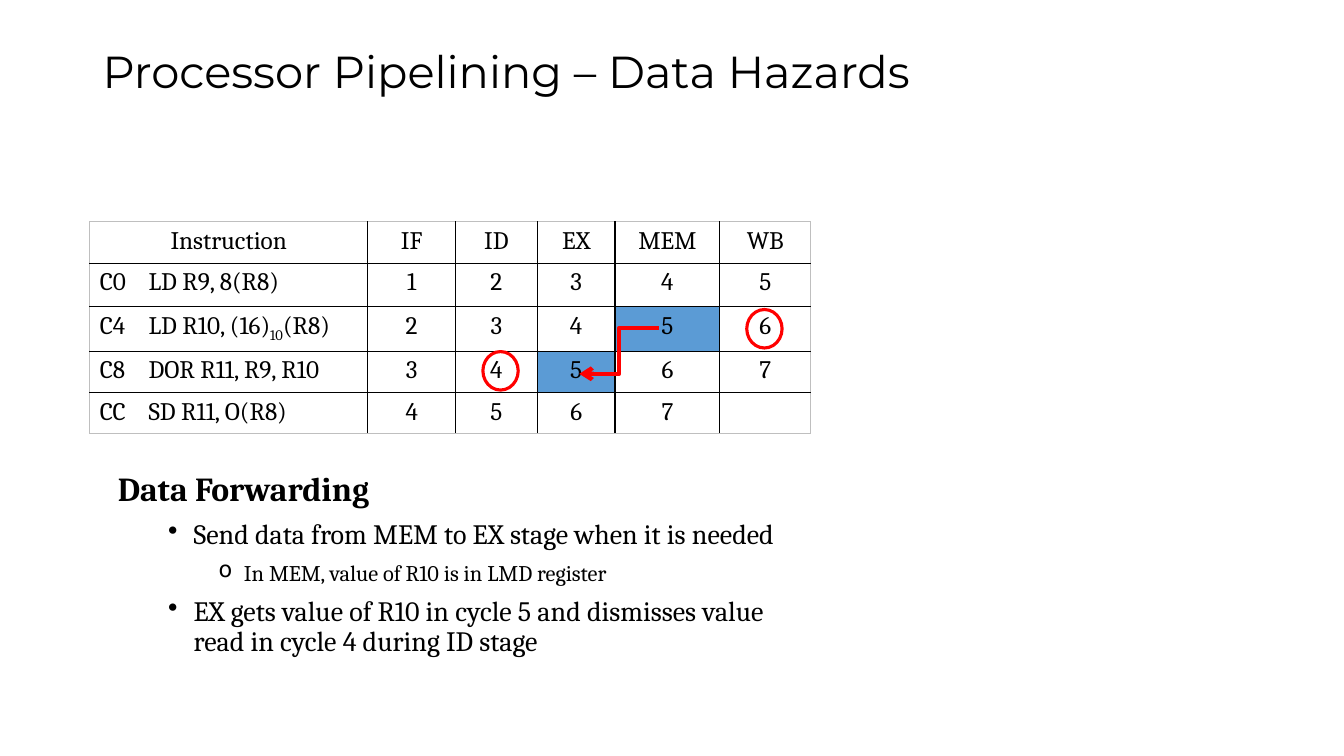
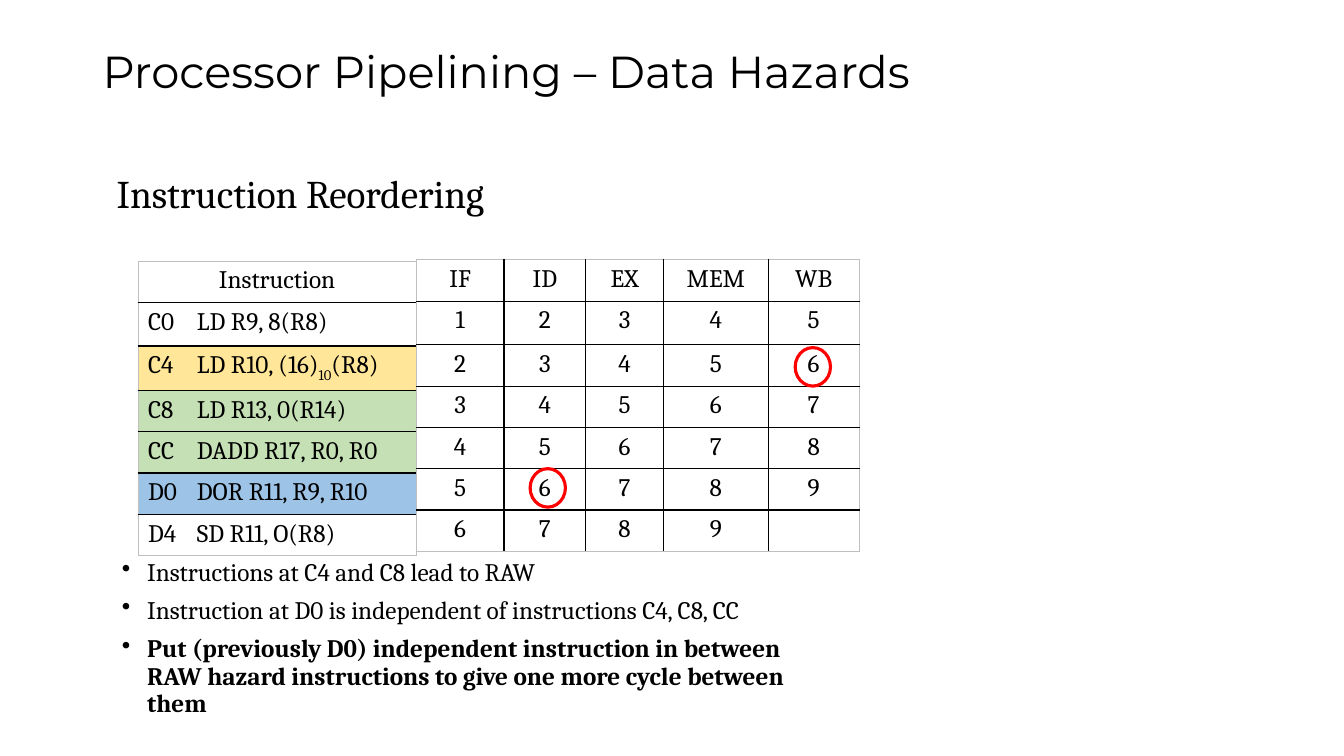
from dataclasses import dataclass, field

from lxml import etree
from pptx import Presentation
from pptx.dml.color import RGBColor
from pptx.enum.shapes import MSO_CONNECTOR, MSO_SHAPE
from pptx.enum.text import MSO_ANCHOR, PP_ALIGN
from pptx.oxml.ns import qn
from pptx.shapes.connector import Connector
from pptx.slide import Slide
from pptx.table import _Cell
from pptx.text.text import _Paragraph
from pptx.util import Cm, Pt

ELBOW = MSO_CONNECTOR.ELBOW
OVAL = MSO_SHAPE.OVAL
MIDDLE = MSO_ANCHOR.MIDDLE
LEFT, CENTER = PP_ALIGN.LEFT, PP_ALIGN.CENTER

BLACK = RGBColor(0x00, 0x00, 0x00)
WHITE = RGBColor(0xFF, 0xFF, 0xFF)
GRAY = RGBColor(0xBF, 0xBF, 0xBF)
RED = RGBColor(0xFF, 0x00, 0x00)
BLUE = RGBColor(0x5B, 0x9B, 0xD5)
LIGHT_BLUE = RGBColor(0x9D, 0xC3, 0xE6)
YELLOW = RGBColor(0xFF, 0xE6, 0x99)
GREEN = RGBColor(0xC5, 0xE0, 0xB4)

TITLE_FONT, BODY_FONT = "Montserrat", "Cambria"
TITLE = "Processor Pipelining – Data Hazards"
STAGES = ["IF", "ID", "EX", "MEM", "WB"]
INSTRUCTION_WIDTH = 7.01
STAGE_WIDTHS = [2.21, 2.06, 1.96, 2.64, 2.29]
ROW_HEIGHT, FIRST_DATA_HEIGHT = 1.04, 1.1
CODE_TAB = 1.23


@dataclass(frozen=True)
class Line:
    text: str
    size: float
    bold: bool = False
    bullet: str = ""
    indent: float = 0
    level: int = 0


@dataclass(frozen=True)
class TextBlock:
    left: float
    top: float
    width: float
    height: float
    lines: list[Line]


@dataclass(frozen=True)
class Grid:
    left: float
    top: float
    widths: list[float]
    rows: list[list[str]]
    fills: dict[tuple[int, int], RGBColor] = field(default_factory=dict)


@dataclass(frozen=True)
class Ring:
    left: float
    top: float


def format_runs(p: _Paragraph, font: str, size: float, bold: bool = False) -> None:
    for r in p.runs:
        r.font.name = font
        r.font.size = Pt(size)
        r.font.bold = bold
        r.font.color.rgb = BLACK


def set_bullet(p: _Paragraph, bullet: str, indent: float) -> None:
    pPr = p._p.get_or_add_pPr()
    pPr.set("marL", str(Cm(indent)))
    pPr.set("indent", str(-Cm(0.64)))
    etree.SubElement(pPr, qn("a:buChar"), char=bullet)


def add_text(s: Slide, block: TextBlock) -> None:
    sp = s.shapes.add_textbox(Cm(block.left), Cm(block.top), Cm(block.width), Cm(block.height))
    tf = sp.text_frame
    tf.word_wrap = True
    tf.text = "\n".join(line.text for line in block.lines)
    for p, line in zip(tf.paragraphs, block.lines):
        p.level = line.level
        p.line_spacing = 0.9
        p.space_before = Pt(8)
        if line.bullet:
            set_bullet(p, line.bullet, line.indent)
        format_runs(p, BODY_FONT, line.size, line.bold)


def add_title(s: Slide) -> None:
    sp = s.shapes.add_textbox(Cm(2.34), Cm(1.02), Cm(29.21), Cm(1.7))
    tf = sp.text_frame
    tf.word_wrap = True
    tf.vertical_anchor = MIDDLE
    tf.text = TITLE
    p = tf.paragraphs[0]
    p.line_spacing = 0.9
    format_runs(p, TITLE_FONT, 32)


def set_border(cell: _Cell, side: str, color: RGBColor, width: float) -> None:
    ln = etree.SubElement(cell._tc.get_or_add_tcPr(), qn(f"a:{side}"), w=str(Pt(width)))
    fill = etree.SubElement(ln, qn("a:solidFill"))
    etree.SubElement(fill, qn("a:srgbClr"), val=str(color))


def write_cell(cell: _Cell, text: str) -> None:
    p = cell.text_frame.paragraphs[0]
    p.alignment = LEFT if "\t" in text else CENTER
    if "\t" in text:
        tabs = etree.SubElement(p._p.get_or_add_pPr(), qn("a:tabLst"))
        etree.SubElement(tabs, qn("a:tab"), pos=str(Cm(CODE_TAB)), algn="l")
    for i, part in enumerate(text.split("_")):
        r = p.add_run()
        r.text = part
        if i % 2:
            r._r.get_or_add_rPr().set("baseline", "-25000")
    format_runs(p, BODY_FONT, 18)


def add_grid(s: Slide, grid: Grid) -> None:
    n_rows, n_cols = len(grid.rows), len(grid.widths)
    heights = [FIRST_DATA_HEIGHT if i == 1 else ROW_HEIGHT for i in range(n_rows)]
    frame = s.shapes.add_table(n_rows, n_cols, Cm(grid.left), Cm(grid.top),
                               Cm(sum(grid.widths)), Cm(sum(heights)))
    table = frame.table
    table.first_row = table.horz_banding = False
    for column, width in zip(table.columns, grid.widths):
        column.width = Cm(width)
    for row, height in zip(table.rows, heights):
        row.height = Cm(height)
    for i, texts in enumerate(grid.rows):
        for j, text in enumerate(texts):
            cell = table.cell(i, j)
            outer = {"lnL": j == 0, "lnR": j == n_cols - 1,
                     "lnT": i == 0, "lnB": i == n_rows - 1}
            for side, is_outer in outer.items():
                set_border(cell, side, GRAY if is_outer else BLACK, 0.75 if is_outer else 1)
            cell.fill.solid()
            cell.fill.fore_color.rgb = grid.fills.get((i, j), WHITE)
            write_cell(cell, text)


def add_ring(s: Slide, ring: Ring) -> None:
    sp = s.shapes.add_shape(OVAL, Cm(ring.left), Cm(ring.top), Cm(0.89), Cm(0.97))
    sp.shadow.inherit = False
    sp.fill.background()
    sp.line.color.rgb = RED
    sp.line.width = Pt(2.25)


def add_forwarding_arrow(s: Slide) -> Connector:
    arrow = s.shapes.add_connector(ELBOW, Cm(16.61), Cm(8.26), Cm(14.6), Cm(9.42))
    arrow.line.color.rgb = RED
    arrow.line.width = Pt(3)
    etree.SubElement(arrow.line._get_or_add_ln(), qn("a:tailEnd"), type="arrow")
    etree.SubElement(arrow._element.spPr, qn("a:effectLst"))
    return arrow


def cycle_rows(count: int) -> list[list[str]]:
    rows = [[str(start + k) for k in range(len(STAGES))] for start in range(1, count + 1)]
    rows[-1][-1] = ""
    return [STAGES] + rows


def forwarding_slide(prs: Presentation) -> None:
    s = prs.slides.add_slide(prs.slide_layouts[6])
    add_title(s)
    instructions = ["Instruction", "C0\tLD R9, 8(R8)", "C4\tLD R10, (16)_10_(R8)",
                    "C8\tDOR R11, R9, R10", "CC\tSD R11, O(R8)"]
    cycles = cycle_rows(len(instructions) - 1)
    rows = [[name] + row for name, row in zip(instructions, cycles)]
    add_grid(s, Grid(2.26, 5.59, [INSTRUCTION_WIDTH] + STAGE_WIDTHS, rows,
                     {(2, 4): BLUE, (3, 3): BLUE}))
    add_text(s, TextBlock(2.72, 11.79, 17.55, 5.77, [
        Line("Data Forwarding", 24, bold=True),
        Line("Send data from MEM to EX stage when it is needed", 20,
             bullet="•", indent=1.91, level=1),
        Line("In MEM, value of R10 is in LMD register", 16,
             bullet="o", indent=3.18, level=2),
        Line("EX gets value of R10 in cycle 5 and dismisses value "
             "read in cycle 4 during ID stage", 20, bullet="•", indent=1.91, level=1),
    ]))
    add_ring(s, Ring(18.82, 7.8))
    add_forwarding_arrow(s)
    add_ring(s, Ring(12.17, 8.86))


def reordering_slide(prs: Presentation) -> None:
    s = prs.slides.add_slide(prs.slide_layouts[6])
    add_title(s)
    add_text(s, TextBlock(2.69, 4.27, 17.55, 1.9, [Line("Instruction Reordering", 28)]))
    instructions = ["Instruction", "C0\tLD R9, 8(R8)", "C4\tLD R10, (16)_10_(R8)",
                    "C8\tLD R13, 0(R14)", "CC\tDADD R17, R0, R0",
                    "D0\tDOR R11, R9, R10", "D4\tSD R11, O(R8)"]
    add_grid(s, Grid(3.48, 6.58, [INSTRUCTION_WIDTH], [[name] for name in instructions],
                     {(2, 0): YELLOW, (3, 0): GREEN, (4, 0): GREEN, (5, 0): LIGHT_BLUE}))
    notes = ["Instructions at C4 and C8 lead to RAW",
             "Instruction at D0 is independent of instructions C4, C8, CC",
             "Put (previously D0) independent instruction in between RAW hazard "
             "instructions to give one more cycle between them"]
    add_text(s, TextBlock(2.82, 13.97, 17.55, 5.08, [
        Line(text, 18, bold=text == notes[-1], bullet="•", indent=0.64) for text in notes
    ]))
    add_grid(s, Grid(10.49, 6.55, STAGE_WIDTHS, cycle_rows(len(instructions) - 1)))
    for ring in (Ring(20.04, 8.76), Ring(13.36, 11.81)):
        add_ring(s, ring)


prs = Presentation()
prs.slide_width, prs.slide_height = Cm(33.87), Cm(19.05)
forwarding_slide(prs)
reordering_slide(prs)
prs.save("out.pptx")
